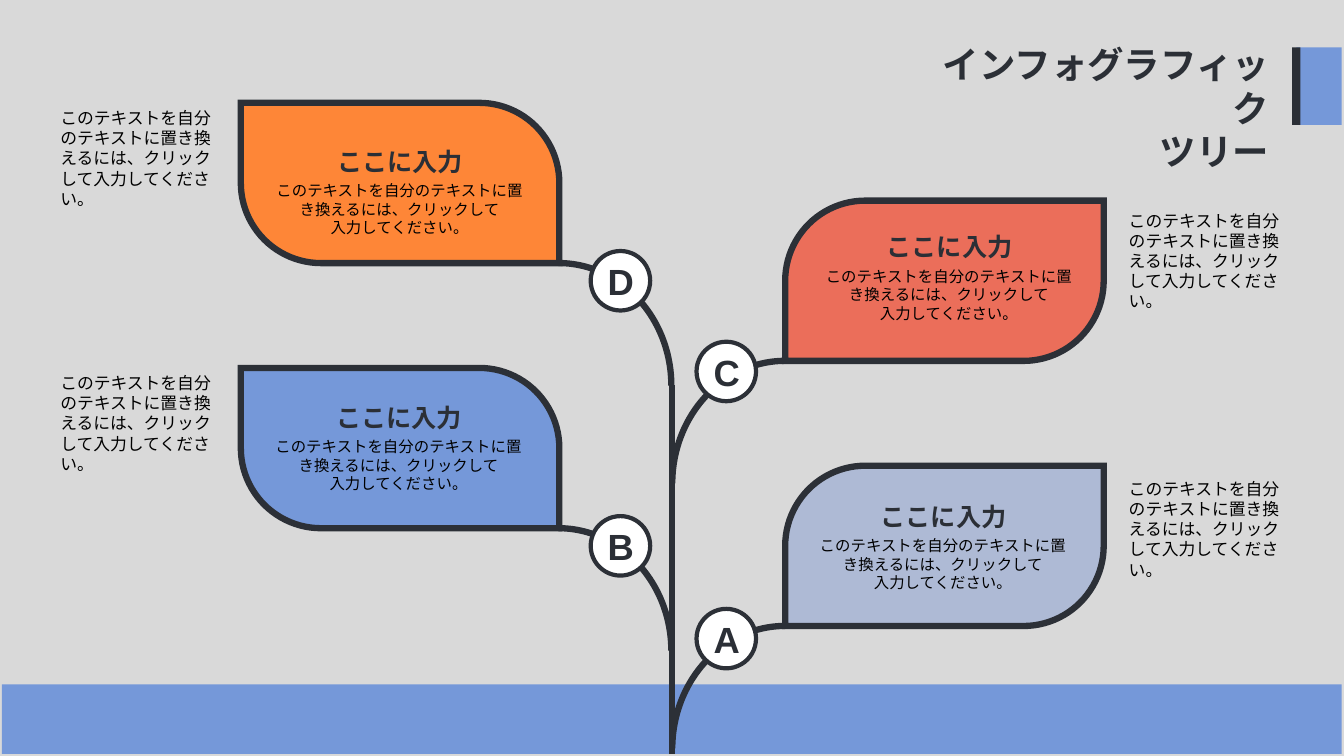
"""Draw a tree infographic with four labelled leaves."""
from dataclasses import dataclass
from typing import Optional

import pptx
import pptx.dml.color
import pptx.enum.lang
import pptx.enum.shapes
import pptx.enum.text
import pptx.oxml.ns
import pptx.util
from lxml import etree

COLS, ROWS = 80, 45
WIDE, HIGH = pptx.util.Inches(13.333), pptx.util.Inches(7.5)
FORM = pptx.enum.shapes.MSO_SHAPE
ALIGN = pptx.enum.text.PP_ALIGN
qn = pptx.oxml.ns.qn


@dataclass(frozen=True)
class Theme:
    font: str = "Arial"
    back: str = "D9D9D9"
    blue: str = "7598D9"
    red: str = "EB6E5A"
    pale: str = "AEBAD5"
    orange: str = "FE8637"
    white: str = "FFFFFF"
    black: str = "000000"
    ink: str = "2B2F36"
    edge: str = "2C3037"
    big: float = 26
    head: float = 18
    note: float = 12
    body: float = 11
    thick: float = 4.5
    thin: float = 3


@dataclass(frozen=True)
class Box:
    col: float
    row: float
    width: float
    height: float


@dataclass(frozen=True)
class Style:
    size: float
    color: str
    bold: bool = False
    align: Optional[ALIGN] = None
    wrap: bool = True


@dataclass(frozen=True)
class Side:
    leaf: float
    stem: float
    badge: float
    note: float
    right: bool


@dataclass(frozen=True)
class Branch:
    letter: str
    side: Side
    row: float
    fill: str
    badge: float
    head: tuple[float, float]
    note: float


T = Theme()
TITLE = Style(T.big, T.ink, True, ALIGN.RIGHT)
LETTER = Style(T.big, T.ink, True, ALIGN.CENTER, False)
HEAD = Style(T.head, T.ink, True, ALIGN.CENTER)
BODY = Style(T.body, T.black, align=ALIGN.CENTER)
NOTE = Style(T.note, T.black)

LEFT = Side(14.34, 26.52, 35.16, 3, False)
RIGHT = Side(46.74, 40.02, 41.46, 66.6, True)
TOP, STEP, DROP = 6.12, 15.78, 5.82
LEAF_W, LEAF_H = 18.96, 9.54
BRANCHES = (
    Branch("D", LEFT, TOP, T.orange, 8.82, (1.38, 2.28), 0),
    Branch("C", RIGHT, TOP + DROP, T.red, 8.4, (1.68, 1.56), 0.3),
    Branch("B", LEFT, TOP + STEP, T.blue, 8.82, (1.32, 1.74), 0),
    Branch("A", RIGHT, TOP + STEP + DROP, T.pale, 8.52, (1.32, 1.8), 0.48),
)
LINES = ("このテキストを自分のテキストに置き換えるには、クリックして", "入力してください。")


def across(cols: float) -> int:
    return round(WIDE * cols / COLS)


def down(rows: float) -> int:
    return round(HIGH * rows / ROWS)


def place(box: Box) -> tuple[int, int, int, int]:
    return across(box.col), down(box.row), across(box.width), down(box.height)


def paint(code: str) -> pptx.dml.color.RGBColor:
    return pptx.dml.color.RGBColor.from_string(code)


def stroke(item, width: float) -> None:
    item.line.color.rgb = paint(T.edge)
    item.line.width = pptx.util.Pt(width)
    line = item._element.spPr.find(qn("a:ln"))
    etree.SubElement(line, qn("a:miter")).set("lim", "800000")


def draw(slide, form: FORM, box: Box, fill: Optional[str] = None,
         width: float = 0, flip: bool = False):
    shape = slide.shapes.add_shape(form, *place(box))
    shape.shadow.inherit = False
    if fill:
        shape.fill.solid()
        shape.fill.fore_color.rgb = paint(fill)
    else:
        shape.fill.background()
    if width:
        stroke(shape, width)
    else:
        shape.line.fill.background()
    if flip:
        shape._element.spPr.find(qn("a:xfrm")).set("flipH", "1")
    return shape


def write(slide, box: Box, lines: tuple[str, ...], style: Style) -> None:
    frame = slide.shapes.add_textbox(*place(box)).text_frame
    frame.word_wrap = style.wrap
    frame.auto_size = pptx.enum.text.MSO_AUTO_SIZE.SHAPE_TO_FIT_TEXT
    para = frame.paragraphs[0]
    para.alignment = style.align
    for place_no, line in enumerate(lines):
        if place_no:
            para.add_line_break()
        run = para.add_run()
        run.text = line
        run.font.name = T.font
        run.font.size = pptx.util.Pt(style.size)
        run.font.bold = style.bold
        run.font.color.rgb = paint(style.color)
        run.font.language_id = pptx.enum.lang.MSO_LANGUAGE_ID.JAPANESE


def grow(slide, branch: Branch) -> None:
    side = branch.side
    leaf = draw(slide, FORM.ROUND_2_DIAG_RECTANGLE,
                Box(side.leaf, branch.row, LEAF_W, LEAF_H),
                branch.fill, T.thick, not side.right)
    leaf.adjustments[0] = 0.5
    leaf.adjustments[1] = 0
    draw(slide, FORM.ARC, Box(side.stem, branch.row + LEAF_H, 13.44, 14.58),
         width=T.thick, flip=side.right)


def root(slide) -> None:
    col = across(RIGHT.stem)
    trunk = slide.shapes.add_connector(
        pptx.enum.shapes.MSO_CONNECTOR.STRAIGHT, col, down(22.92), col, down(44.88))
    stroke(trunk, T.thick)
    etree.SubElement(trunk._element.spPr, qn("a:effectLst"))


def label(slide, branch: Branch) -> None:
    side = branch.side
    row = branch.row + branch.badge
    draw(slide, FORM.OVAL, Box(side.badge, row, 3.54, 3.54), T.white, T.thin)
    write(slide, Box(side.badge + 0.42, row + 0.18, 2.76, 3.18), (branch.letter,), LETTER)
    col, row = side.leaf + branch.head[0], branch.row + branch.head[1]
    write(slide, Box(col, row, 16.2, 2.4), ("ここに入力",), HEAD)
    write(slide, Box(col, row + 2.1, 16.14, 3.9), LINES, BODY)
    write(slide, Box(side.note, branch.row + branch.note, 10.56, 5.4),
          ("".join(LINES),), NOTE)


def main() -> None:
    deck = pptx.Presentation()
    deck.slide_width, deck.slide_height = WIDE, HIGH
    slide = deck.slides.add_slide(deck.slide_layouts[6])
    slide.background.fill.solid()
    slide.background.fill.fore_color.rgb = paint(T.back)
    draw(slide, FORM.RECTANGLE, Box(0.12, 40.74, 79.74, 4.14), T.blue)
    draw(slide, FORM.RECTANGLE, Box(77.16, 2.82, 2.7, 4.62), T.blue)
    draw(slide, FORM.RECTANGLE, Box(76.92, 2.82, 0.48, 4.62), T.ink)
    write(slide, Box(55.2, 2.22, 20.94, 5.82), ("インフォグラフィック", "ツリー"), TITLE)
    for branch in BRANCHES:
        grow(slide, branch)
    root(slide)
    for branch in BRANCHES:
        label(slide, branch)
    deck.save("out.pptx")


if __name__ == "__main__":
    main()
